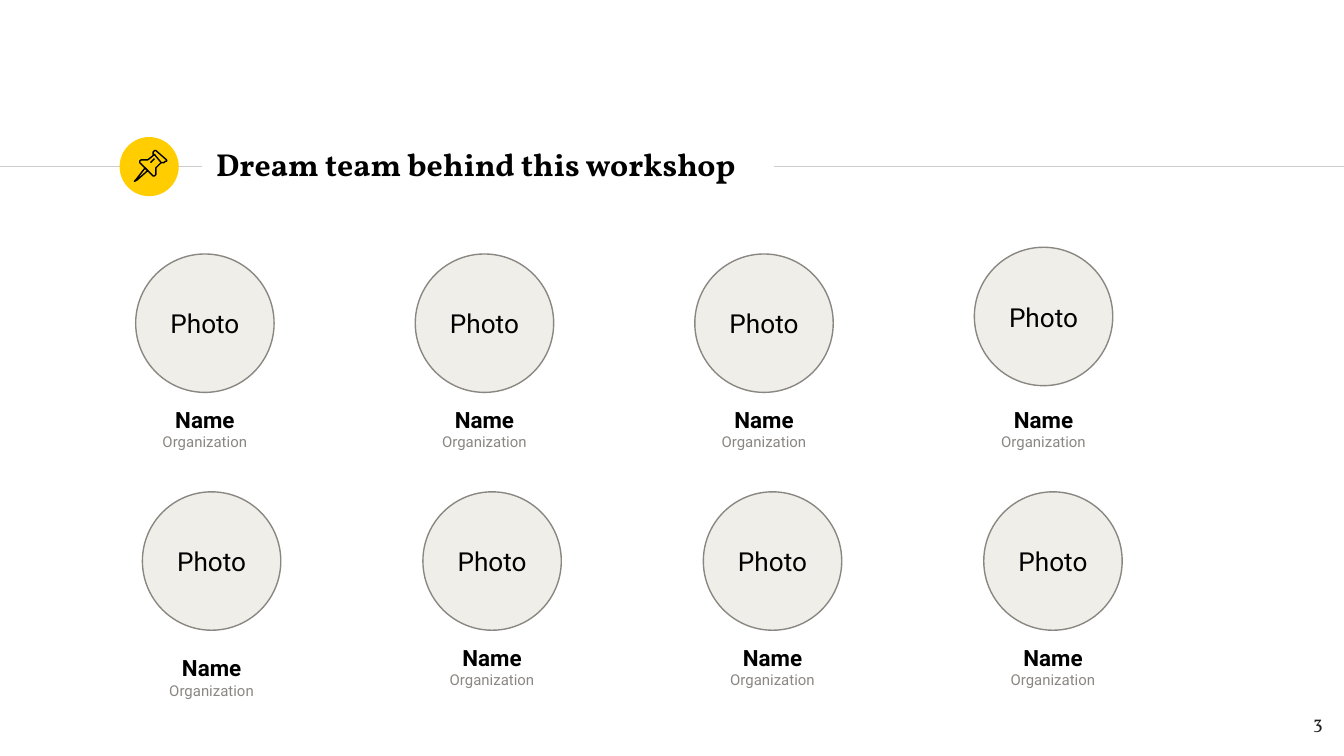
"""Build a team slide: a title on a ruled line above two rows of people."""
from pptx import Presentation
from pptx.dml.color import RGBColor
from pptx.enum.shapes import MSO_CONNECTOR as Link, MSO_SHAPE as Kind
from pptx.enum.text import MSO_ANCHOR as Anchor, MSO_AUTO_SIZE as Fit, PP_ALIGN as Align
from pptx.oxml import parse_xml
from pptx.oxml.ns import nsdecls
from pptx.util import Inches, Pt

WIDE = 10
HIGH = WIDE * 9 / 16
TITLE, PAGE = "Dream team behind this workshop", "3"
PHOTO, NAME, ORG = "Photo", "Name", "Organization"
HEAD, BODY = "Vollkorn", "Roboto"
HEX = {"ink": "000000", "page": "1D1D1B", "gray": "8A8682",
       "rule": "CCCCCC", "gold": "FFCD00", "disc": "F0EEE9"}

AXIS, DISC, CARD, TALL = 1.24, 1.03, 1.56, 0.48
RULES = [(0, 1.5), (5.76, WIDE)]
ROWS = [
    {"first": 1.01, "last": 7.25, "discs": (1.89, 1.89, 1.89, 1.84),
     "cards": (3.02, 3.02, 3.02, 3.02), "talls": (TALL, TALL, 0.43, 0.43)},
    {"first": 1.06, "last": 7.32, "discs": (3.66, 3.66, 3.66, 3.66),
     "cards": (4.87, 4.79, 4.79, 4.79), "talls": (TALL, TALL, TALL, TALL)},
]
PIN = [
    ([(108, 125), (101, 134), (100, 135), (102, 134), (110, 127)], True),
    ([(115, 115), (120, 121), (122, 121), (123, 120), (124, 120), (124, 119),
      (116, 112), (115, 112), (114, 113), (114, 115)], True),
    ([(115, 115), (110, 119), (109, 119), (107, 119), (105, 119), (104, 120),
      (104, 121), (114, 131), (115, 131), (116, 130), (116, 128), (116, 125),
      (120, 121)], False),
    ([(112, 121), (115, 118)], False),
]


def tint(name):
    return RGBColor.from_string(HEX[name])


def style(font, face, size, color, bold=False):
    font.name, font.size, font.bold = face, Pt(size), bold
    font.color.rgb = tint(color)


def edge(item, color):
    item.line.color.rgb = tint(color)
    item.line.width = Pt(0.75)


def frame(shapes, x, y, w, h, inset, align, anchor=Anchor.TOP):
    box = shapes.add_textbox(*map(Inches, (x, y, w, h))).text_frame
    box.word_wrap, box.auto_size, box.vertical_anchor = True, Fit.NONE, anchor
    box.margin_left = box.margin_right = Inches(inset)
    box.margin_top = box.margin_bottom = Inches(inset)
    para = box.paragraphs[0]
    para.alignment = align
    return para


def label(shapes, place, text, face, size, color, align, bold=False, anchor=Anchor.TOP):
    para = frame(shapes, *place, 0.1, align, anchor)
    para.text = text
    style(para.font, face, size, color, bold)


def circle(shapes, x, y, size, color):
    disc = shapes.add_shape(Kind.OVAL, *map(Inches, (x, y, size, size)))
    disc.shadow.inherit = False
    disc.fill.solid()
    disc.fill.fore_color.rgb = tint(color)
    disc.line.fill.background()
    return disc


def rule(shapes, start, end):
    line = shapes.add_connector(Link.STRAIGHT, *map(Inches, (start, AXIS, end, AXIS)))
    edge(line, "rule")
    line._element.spPr.append(parse_xml(f"<a:effectLst {nsdecls('a')}/>"))


def pin(shapes):
    for points, closed in PIN:
        path = shapes.build_freeform(*points[0], scale=Inches(0.01))
        path.add_line_segments(points[1:], close=closed)
        part = path.convert_to_shape()
        part.shadow.inherit = False
        part.fill.background()
        edge(part, "ink")


def photo(shapes, x, y):
    group = shapes.add_group_shape().shapes
    edge(circle(group, x, y, DISC, "disc"), "gray")
    label(group, (x + 0.1, y + 0.3, DISC - 0.2, 0.44), PHOTO, BODY, 14, "ink", Align.CENTER)


def card(shapes, x, y, tall):
    para = frame(shapes, x - (CARD - DISC) / 2, y, CARD, tall, 0, Align.CENTER)
    name = para.add_run()
    name.text = NAME
    style(name.font, BODY, 12, "ink", True)
    para.add_line_break()
    org = para.add_run()
    org.text = ORG
    style(org.font, BODY, 8, "gray")


def main():
    deck = Presentation()
    deck.slide_width, deck.slide_height = Inches(WIDE), Inches(HIGH)
    shapes = deck.slides.add_slide(deck.slide_layouts[6]).shapes
    for start, end in RULES:
        rule(shapes, start, end)
    circle(shapes, 0.89, AXIS - 0.22, 0.44, "gold")
    pin(shapes.add_group_shape().shapes)
    label(shapes, (1.51, 0.98, 4.24, TALL), TITLE, HEAD, 17, "ink", Align.LEFT, True, Anchor.MIDDLE)
    label(shapes, (9.34, 5.19, 0.6, 0.43), PAGE, HEAD, 10, "page", Align.RIGHT)
    for row in ROWS:
        step = (row["last"] - row["first"]) / (len(row["discs"]) - 1)
        for col, (top, foot, tall) in enumerate(zip(row["discs"], row["cards"], row["talls"])):
            x = row["first"] + col * step
            photo(shapes, x, top)
            card(shapes, x, foot, tall)
    deck.save("out.pptx")


if __name__ == "__main__":
    main()
